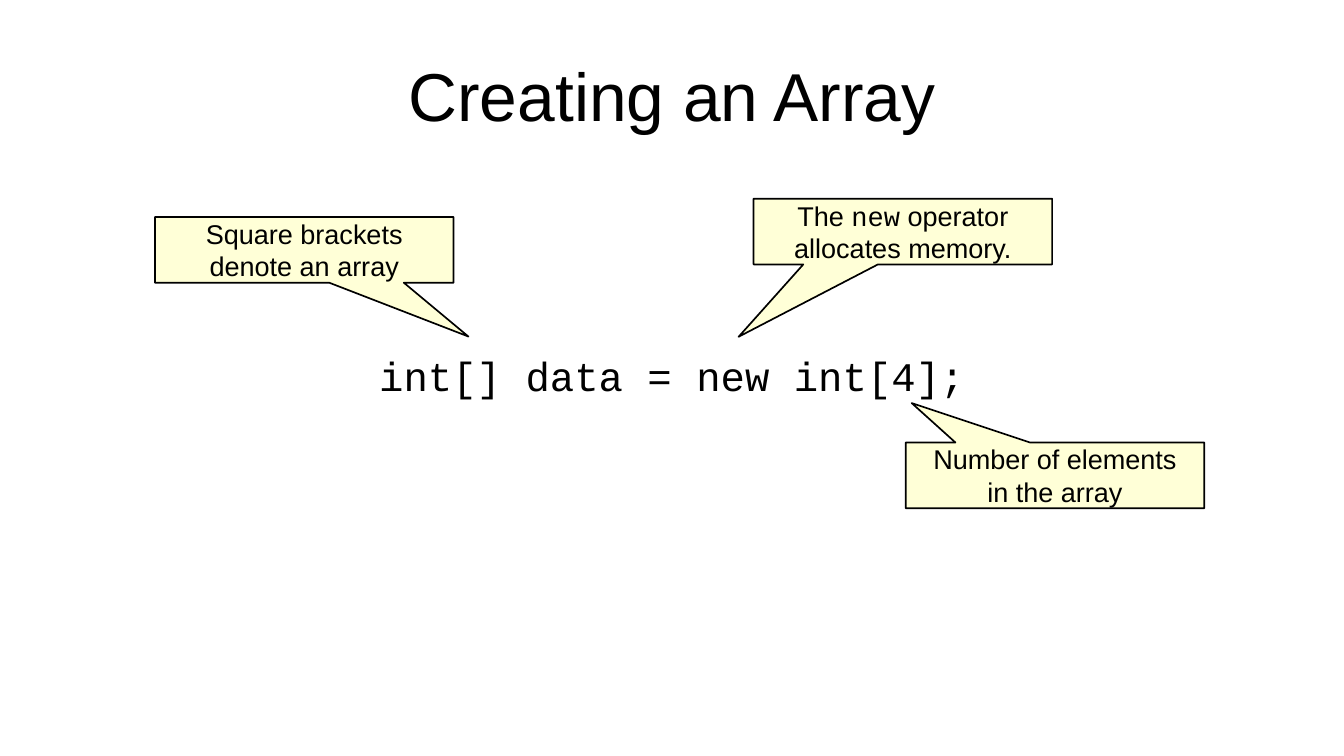
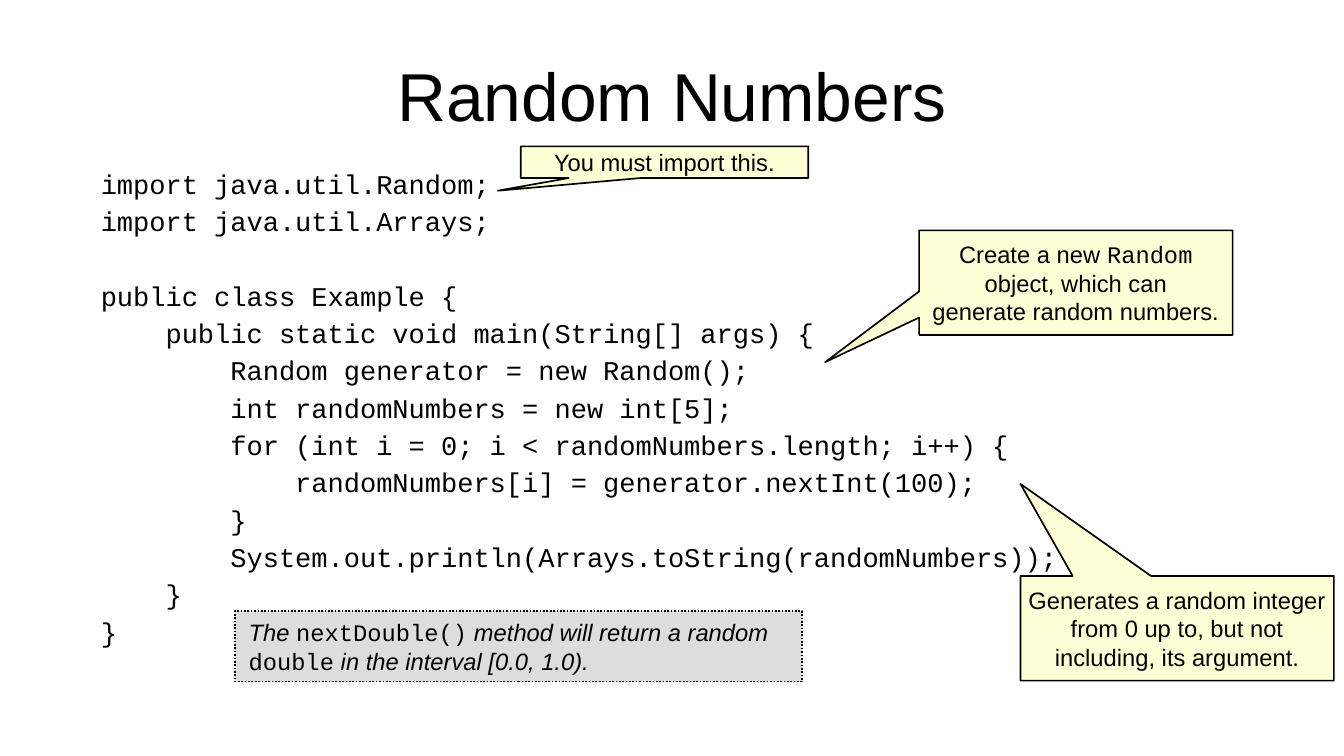
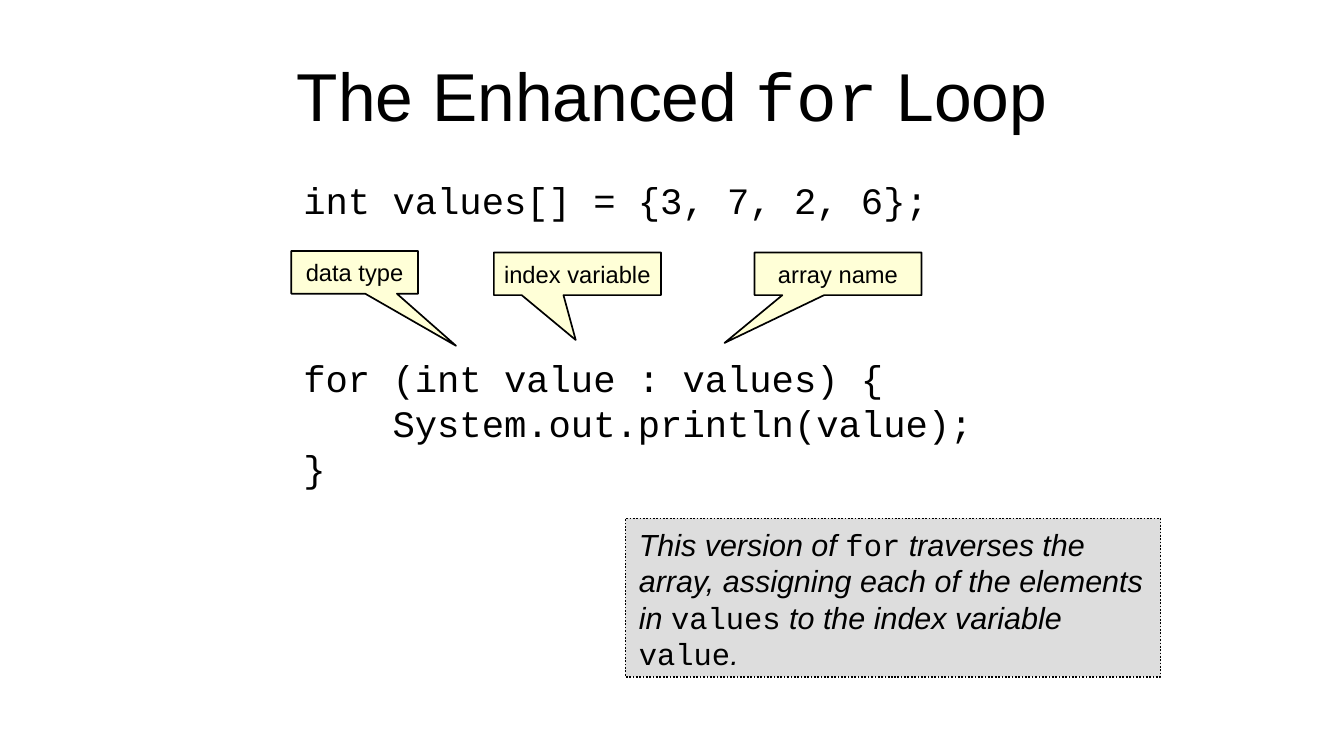
from pptx import Presentation
from pptx.dml.color import RGBColor
from pptx.enum.dml import MSO_LINE
from pptx.enum.shapes import MSO_SHAPE
from pptx.enum.text import MSO_ANCHOR, MSO_AUTO_SIZE, PP_ALIGN
from pptx.util import Cm, Pt

BLACK = RGBColor(0x00, 0x00, 0x00)
CREAM = RGBColor(0xFF, 0xFF, 0xD7)
GREY = RGBColor(0xDD, 0xDD, 0xDD)
SANS, MONO = "Arial", "Courier New"
TITLE_BOX = (1.4, 0.64, 25.2, 2.64)
LINE_PITCH = 1.2

RANDOM_CODE = """\
import java.util.Random;
import java.util.Arrays;

public class Example {
    public static void main(String[] args) {
        Random generator = new Random();
        int randomNumbers = new int[5];
        for (int i = 0; i < randomNumbers.length; i++) {
            randomNumbers[i] = generator.nextInt(100);
        }
        System.out.println(Arrays.toString(randomNumbers));
    }
}"""

LOOP_CODE = """\
int values[] = {3, 7, 2, 6};



for (int value : values) {
    System.out.println(value);
}"""


def set_insets(tf, x, y):
    """Set equal side insets and equal top and bottom insets, in cm."""
    tf.margin_left = tf.margin_right = Cm(x)
    tf.margin_top = tf.margin_bottom = Cm(y)


def style_run(r, size, font, italic=False):
    """Give a run its size, font, slant and the text colour."""
    r.font.size = Pt(size)
    r.font.name = font
    r.font.italic = italic
    r.font.color.rgb = BLACK


def write_prose(tf, text, size, align, italic=False):
    """Write one paragraph a line, with words in backticks in the code font."""
    for i, line in enumerate(text.split("\n")):
        p = tf.add_paragraph() if i else tf.paragraphs[0]
        p.alignment = align
        for j, part in enumerate(line.split("`")):
            if part:
                r = p.add_run()
                r.text = part
                code = j % 2 == 1
                style_run(r, size, MONO if code else SANS, italic and not code)


def add_text_box(s, box):
    """Add a text box at a box given in cm and return its text frame."""
    tf = s.shapes.add_textbox(*map(Cm, box)).text_frame
    tf.word_wrap = True
    return tf


def add_title(s, text):
    """Place the slide title, centred in the title box."""
    tf = add_text_box(s, TITLE_BOX)
    tf.vertical_anchor = MSO_ANCHOR.MIDDLE
    set_insets(tf, 0, 0)
    write_prose(tf, text, 40, PP_ALIGN.CENTER)


def add_code(s, box, code, size, spacing=1.0, wrap=False):
    """Place a code listing, turning empty lines into space before the next."""
    tf = add_text_box(s, box)
    tf.word_wrap = wrap
    tf.auto_size = MSO_AUTO_SIZE.SHAPE_TO_FIT_TEXT
    set_insets(tf, 0.25, 0.13)
    gap, p = 0, None
    for line in code.split("\n"):
        if not line:
            gap += 1
            continue
        p = tf.add_paragraph() if p else tf.paragraphs[0]
        p.text = line
        p.line_spacing = spacing
        if gap:
            p.space_before = Pt(round(gap * size * spacing * LINE_PITCH))
        style_run(p.runs[0], size, MONO)
        gap = 0


def add_panel(s, kind, box, fill):
    """Add a filled shape with a thin black outline and no shadow."""
    sp = s.shapes.add_shape(kind, *map(Cm, box))
    sp.shadow.inherit = False
    sp.fill.solid()
    sp.fill.fore_color.rgb = fill
    sp.line.color.rgb = BLACK
    sp.line.width = Pt(1)
    set_insets(sp.text_frame, 0.28, 0.15)
    return sp


def add_callout(s, box, tip, text, size=14):
    """Place a callout whose tip is offset from its centre in box sizes."""
    sp = add_panel(s, MSO_SHAPE.RECTANGULAR_CALLOUT, box, CREAM)
    sp.adjustments[0], sp.adjustments[1] = tip
    tf = sp.text_frame
    tf.word_wrap = False
    tf.vertical_anchor = MSO_ANCHOR.MIDDLE
    write_prose(tf, text, size, PP_ALIGN.CENTER)


def add_note(s, box, text, size):
    """Place a grey remark in italics with a dotted outline."""
    sp = add_panel(s, MSO_SHAPE.RECTANGLE, box, GREY)
    sp.line.dash_style = MSO_LINE.ROUND_DOT
    tf = sp.text_frame
    tf.word_wrap = True
    tf.vertical_anchor = MSO_ANCHOR.TOP
    write_prose(tf, text, size, PP_ALIGN.LEFT, italic=True)


def array_slide(s):
    """Explain the parts of an array creation."""
    add_title(s, "Creating an Array")
    add_code(s, (7.65, 7.19, 12.7, 1.22), "int[] data = new int[4];", 24)
    for x, y, tip, text in (
        (3.23, 4.52, (0.55, 1.32), "Square brackets\ndenote an array"),
        (15.7, 4.14, (-0.55, 1.6), "The `new` operator\nallocates memory."),
        (18.87, 9.22, (-0.48, -1.1), "Number of elements\nin the array"),
    ):
        add_callout(s, (x, y, 6.22, 1.37), tip, text, 16)


def random_slide(s):
    """Explain a program that draws random numbers."""
    add_title(s, "Random Numbers")
    add_code(s, (1.85, 3.25, 23.06, 9.8), RANDOM_CODE, 16, 1.15, wrap=True)
    add_callout(s, (10.85, 3.05, 5.99, 0.66), (-0.58, 0.9),
                "You must import this.")
    add_callout(s, (19.15, 4.8, 6.53, 2.18), (-0.8, 0.76),
                "Create a new `Random`\nobject, which can\n"
                "generate random numbers.")
    add_callout(s, (21.26, 12, 6.53, 2.18), (-0.5, -1.38),
                "Generates a random integer\nfrom 0 up to, but not\n"
                "including, its argument.")
    add_note(s, (4.9, 12.73, 11.81, 1.47),
             "The `nextDouble()` method will return a random `double`"
             " in the interval [0.0, 1.0).", 14)


def loop_slide(s):
    """Explain the parts of the enhanced loop."""
    add_title(s, "The Enhanced `for` Loop")
    add_code(s, (6.07, 3.56, 14.48, 7.26), LOOP_CODE, 22)
    for x, y, w, tip, text in (
        (6.07, 5.23, 2.64, (0.8, 1.72), "data type"),
        (10.29, 5.26, 3.48, (-0.01, 1.55), "index variable"),
        (15.72, 5.26, 3.48, (-0.68, 1.62), "array name"),
    ):
        add_callout(s, (x, y, w, 0.89), tip, text)
    add_note(s, (13.03, 10.8, 11.15, 3.3),
             "This version of `for` traverses the array, assigning each of"
             " the elements in `values` to the index variable `value`.", 18)


def main():
    """Build the slides and save the presentation."""
    prs = Presentation()
    prs.slide_width, prs.slide_height = Cm(28), Cm(15.75)
    for build in (array_slide, random_slide, loop_slide):
        build(prs.slides.add_slide(prs.slide_layouts[6]))
    prs.save("out.pptx")


if __name__ == "__main__":
    main()
